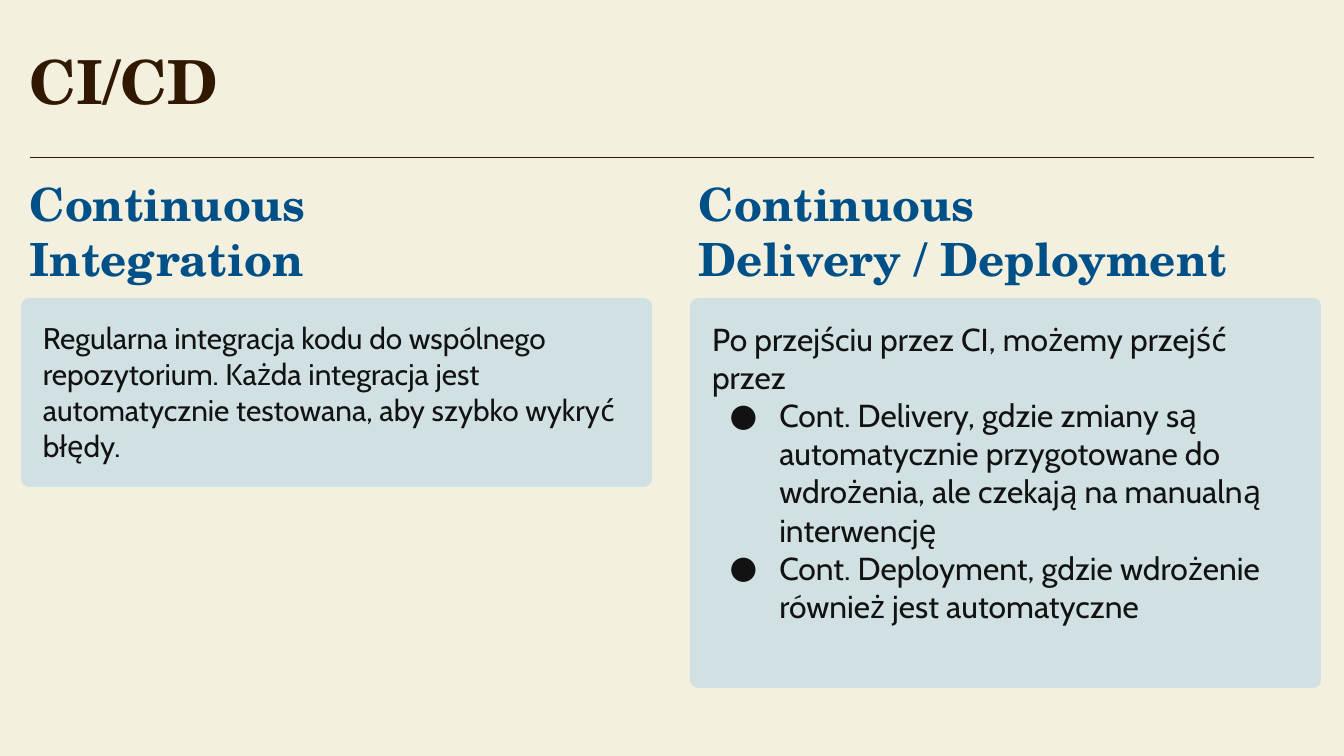
from dataclasses import dataclass

from lxml.etree import SubElement
from pptx import Presentation
from pptx.dml.color import RGBColor
from pptx.enum.shapes import MSO_CONNECTOR, MSO_SHAPE
from pptx.enum.text import MSO_ANCHOR, MSO_AUTO_SIZE, PP_ALIGN
from pptx.oxml.ns import qn
from pptx.util import Inches, Pt


@dataclass(frozen=True)
class Theme:
    paper: str = "F3F0DF"
    brown: str = "301900"
    blue: str = "005088"
    ink: str = "121212"
    panel: str = "D0E0E3"
    serif: str = "TeX Gyre Schola"
    sans: str = "Cabin"
    title_size: float = 32.5
    heading_size: float = 24.5
    rule_width: float = 0.75
    panel_border: float = 9


THEME = Theme()
WIDTH = 10
HEIGHT = WIDTH * 9 / 16
MARGIN = 0.22
COLUMN_STEP = 4.98
PANEL_WIDTH = 4.57
HEADER_HEIGHT = 0.84
TITLE_TOP, RULE_TOP, HEADING_TOP, PANEL_TOP = 0.18, 1.17, 1.3, 2.28
BULLET_INDENT, BULLET_HANG = 0.5, 0.37

# Heading, heading width, panel height, text size, introduction, bullet points
COLUMNS = [
    ("Continuous Integration", 4.1, 1.28, 16,
     "Regularna integracja kodu do wspólnego repozytorium. Każda integracja "
     "jest automatycznie testowana, aby szybko wykryć błędy.", []),
    ("Continuous \vDelivery / Deployment", 4.24, 2.78, 17,
     "Po przejściu przez CI, możemy przejść przez",
     ["Cont. Delivery, gdzie zmiany są automatycznie przygotowane do "
      "wdrożenia, ale czekają na manualną interwencję",
      "Cont. Deployment, gdzie wdrożenie również jest automatyczne"]),
]


def color(value):
    return RGBColor.from_string(value)


def apply_format(target, values):
    for name, value in values.items():
        setattr(target, name, value)


def style_text(para, face, size, ink, bold=False):
    para.alignment = PP_ALIGN.LEFT
    for target in (para, *para.runs):
        apply_format(target.font, {"name": face, "size": Pt(size), "bold": bold})
        target.font.color.rgb = color(ink)


def add_header(page, text, left, top, width, size, ink):
    box = page.shapes.add_textbox(
        Inches(left), Inches(top), Inches(width), Inches(HEADER_HEIGHT))
    apply_format(box.text_frame, {
        "word_wrap": True, "vertical_anchor": MSO_ANCHOR.MIDDLE,
        "margin_left": 0, "margin_top": 0,
        "margin_right": Inches(0.1), "margin_bottom": 0})
    para = box.text_frame.paragraphs[0]
    para.text = text
    style_text(para, THEME.serif, size, ink, bold=True)


def add_rule(page):
    rule = page.shapes.add_connector(
        MSO_CONNECTOR.STRAIGHT, Inches(MARGIN), Inches(RULE_TOP),
        Inches(WIDTH - MARGIN), Inches(RULE_TOP))
    rule.line.color.rgb = color(THEME.brown)
    rule.line.width = Pt(THEME.rule_width)
    SubElement(rule.element.spPr, qn("a:effectLst"))


def add_bullet(para):
    properties = para._p.get_or_add_pPr()
    properties.set("marL", str(Inches(BULLET_INDENT)))
    properties.set("indent", str(-Inches(BULLET_HANG)))
    bullet_color = SubElement(properties, qn("a:buClr"))
    SubElement(bullet_color, qn("a:srgbClr"), val=THEME.ink)
    SubElement(properties, qn("a:buFont"), typeface=THEME.sans)
    SubElement(properties, qn("a:buChar"), char="●")


def add_panel(page, left, height, size, introduction, points):
    panel = page.shapes.add_shape(
        MSO_SHAPE.RECTANGLE, Inches(left), Inches(PANEL_TOP),
        Inches(PANEL_WIDTH), Inches(height))
    panel.shadow.inherit = False
    panel.fill.solid()
    panel.fill.fore_color.rgb = color(THEME.panel)
    panel.line.color.rgb = color(THEME.panel)
    panel.line.width = Pt(THEME.panel_border)
    SubElement(panel.line._get_or_add_ln(), qn("a:round"))

    frame = panel.text_frame
    apply_format(frame, {
        "word_wrap": True, "vertical_anchor": MSO_ANCHOR.TOP,
        "auto_size": MSO_AUTO_SIZE.SHAPE_TO_FIT_TEXT})
    apply_format(frame, dict.fromkeys(
        ["margin_left", "margin_top", "margin_right", "margin_bottom"],
        Inches(0.1)))
    frame.text = introduction
    for point in points:
        para = frame.add_paragraph()
        para.text = point
        add_bullet(para)
    for para in frame.paragraphs:
        style_text(para, THEME.sans, size, THEME.ink)


def main():
    deck = Presentation()
    apply_format(deck, {
        "slide_width": Inches(WIDTH), "slide_height": Inches(HEIGHT)})
    page = deck.slides.add_slide(deck.slide_layouts[6])
    page.background.fill.solid()
    page.background.fill.fore_color.rgb = color(THEME.paper)

    add_header(page, "CI/CD", MARGIN, TITLE_TOP, WIDTH - 2 * MARGIN,
               THEME.title_size, THEME.brown)
    add_rule(page)
    for index, (heading, width, height, size, introduction, points) in enumerate(COLUMNS):
        left = MARGIN + index * COLUMN_STEP
        add_header(page, heading, left, HEADING_TOP, width,
                   THEME.heading_size, THEME.blue)
        add_panel(page, left, height, size, introduction, points)
    deck.save("out.pptx")


if __name__ == "__main__":
    main()
